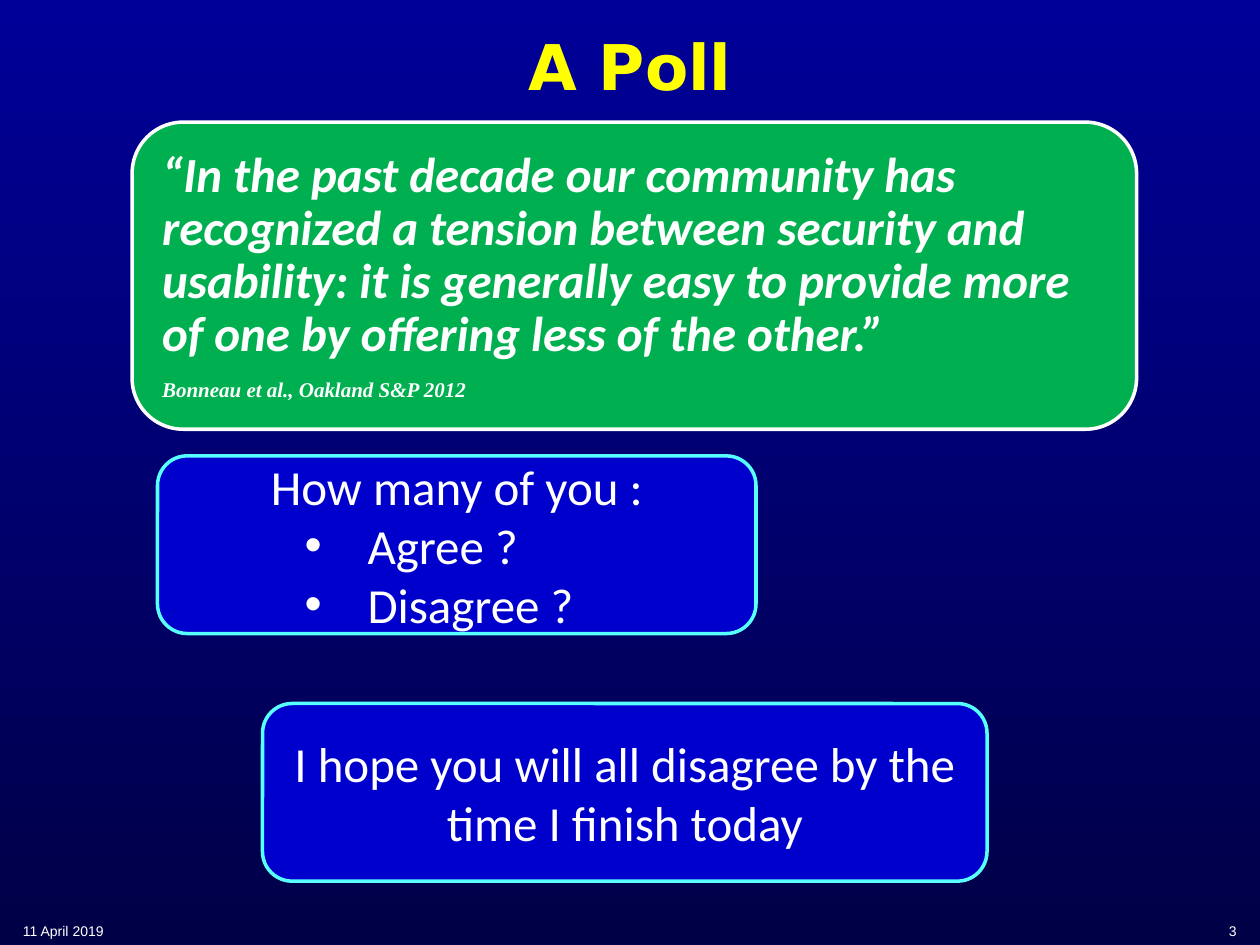
from lxml import etree
from pptx import Presentation
from pptx.dml.color import RGBColor
from pptx.enum.shapes import MSO_SHAPE
from pptx.enum.text import MSO_ANCHOR, PP_ALIGN
from pptx.oxml.ns import qn
from pptx.util import Pt

ROUNDED = MSO_SHAPE.ROUNDED_RECTANGLE
MIDDLE, BOTTOM = MSO_ANCHOR.MIDDLE, MSO_ANCHOR.BOTTOM
LEFT, CENTER, RIGHT = PP_ALIGN.LEFT, PP_ALIGN.CENTER, PP_ALIGN.RIGHT

COLORS = {
    "sky": "000099",
    "night": "000047",
    "title": "FFFF00",
    "text": "FFFFFF",
    "quote": "00B050",
    "box": "0000CC",
    "edge": "58FFFF",
}


def rgb(name):
    return RGBColor.from_string(COLORS[name])


class PollSlide:
    """Holds the text style and the current slide."""

    font, size = "Calibri", 28

    def __init__(self, prs):
        self.slide = prs.slides.add_slide(prs.slide_layouts[6])

    def background(self, top, bottom):
        fill = self.slide.background.fill
        fill.gradient()
        fill.gradient_angle = 270
        for stop, name, position in zip(fill.gradient_stops, (top, bottom), (0, 1)):
            stop.color.rgb = rgb(name)
            stop.position = position

    def box(self, left, top, width, height, fill, edge):
        box = self.slide.shapes.add_shape(
            ROUNDED, Pt(left), Pt(top), Pt(width), Pt(height))
        box.shadow.inherit = False
        box.fill.solid()
        box.fill.fore_color.rgb = rgb(fill)
        box.line.color.rgb = rgb(edge)
        box.line.width = Pt(2)
        return self.frame(box, MIDDLE)

    def text_area(self, left, top, width, height, anchor=MIDDLE, inset=None):
        area = self.slide.shapes.add_textbox(
            Pt(left), Pt(top), Pt(width), Pt(height))
        return self.frame(area, anchor, inset)

    def frame(self, shape, anchor, inset=None):
        frame = shape.text_frame
        frame.word_wrap = True
        frame.vertical_anchor = anchor
        if inset is not None:
            frame.margin_left = frame.margin_right = Pt(inset)
            frame.margin_top = frame.margin_bottom = Pt(inset)
        return frame

    def paragraph(self, frame, text, align=LEFT, size=None, font=None,
                  color="text", bold=False, italic=False):
        first = frame.paragraphs[0]
        para = frame.add_paragraph() if first.runs else first
        para.alignment = align
        run = para.add_run()
        run.text = text
        run.font.name = font or self.font
        run.font.size = Pt(size or self.size)
        run.font.bold, run.font.italic = bold, italic
        run.font.color.rgb = rgb(color)
        return para

    def bullet(self, frame, text):
        para = self.paragraph(frame, text)
        para.level = 2
        props = para._p.get_or_add_pPr()
        props.set("marL", str(Pt(108)))
        props.set("indent", str(Pt(-36)))
        etree.SubElement(props, qn("a:buFont"), typeface="Arial")
        etree.SubElement(props, qn("a:buChar"), char="•")

    def quote_line(self, frame, text, size, font):
        para = self.paragraph(frame, text, size=size, font=font,
                              bold=True, italic=True)
        para.line_spacing = 0.9
        para.space_after = Pt(round(0.35 * size, 1))


def main():
    prs = Presentation()
    prs.slide_width, prs.slide_height = Pt(720), Pt(540)
    poll = PollSlide(prs)
    poll.background("sky", "night")

    # Title
    title = poll.text_area(12, 11.5, 696, 52)
    poll.paragraph(title, "A Poll", CENTER, 36, "DejaVu Sans", "title", bold=True)

    # Quotation and its source
    poll.box(75.5, 69.8, 574, 175.5, "quote", "text")
    quote = poll.text_area(84, 78.5, 556.5, 158.4, inset=8.64)
    poll.quote_line(
        quote,
        "“In the past decade our community has recognized a tension between "
        "security and usability: it is generally easy to provide more of one "
        "by offering less of the other.”", 28, "Calibri")
    poll.quote_line(quote, "Bonneau et al., Oakland S&P 2012", 12, "Times New Roman")

    # Footer
    for text, left, width, align in (("3", 636, 77.8, RIGHT),
                                     ("11 April 2019", 6, 150, LEFT)):
        footer = poll.text_area(left, 522, width, 18, BOTTOM)
        poll.paragraph(footer, text, align, 8, "Arial")

    # Question
    question = poll.box(90, 260.5, 342, 101.5, "box", "edge")
    poll.paragraph(question, "How many of you :", CENTER)
    for answer in ("Agree ?", "Disagree ?"):
        poll.bullet(question, answer)

    # Hope
    hope = poll.box(150, 402, 414, 101.5, "box", "edge")
    poll.paragraph(
        hope, "I hope you will all disagree by the time I finish today", CENTER)

    prs.save("out.pptx")


if __name__ == "__main__":
    main()
